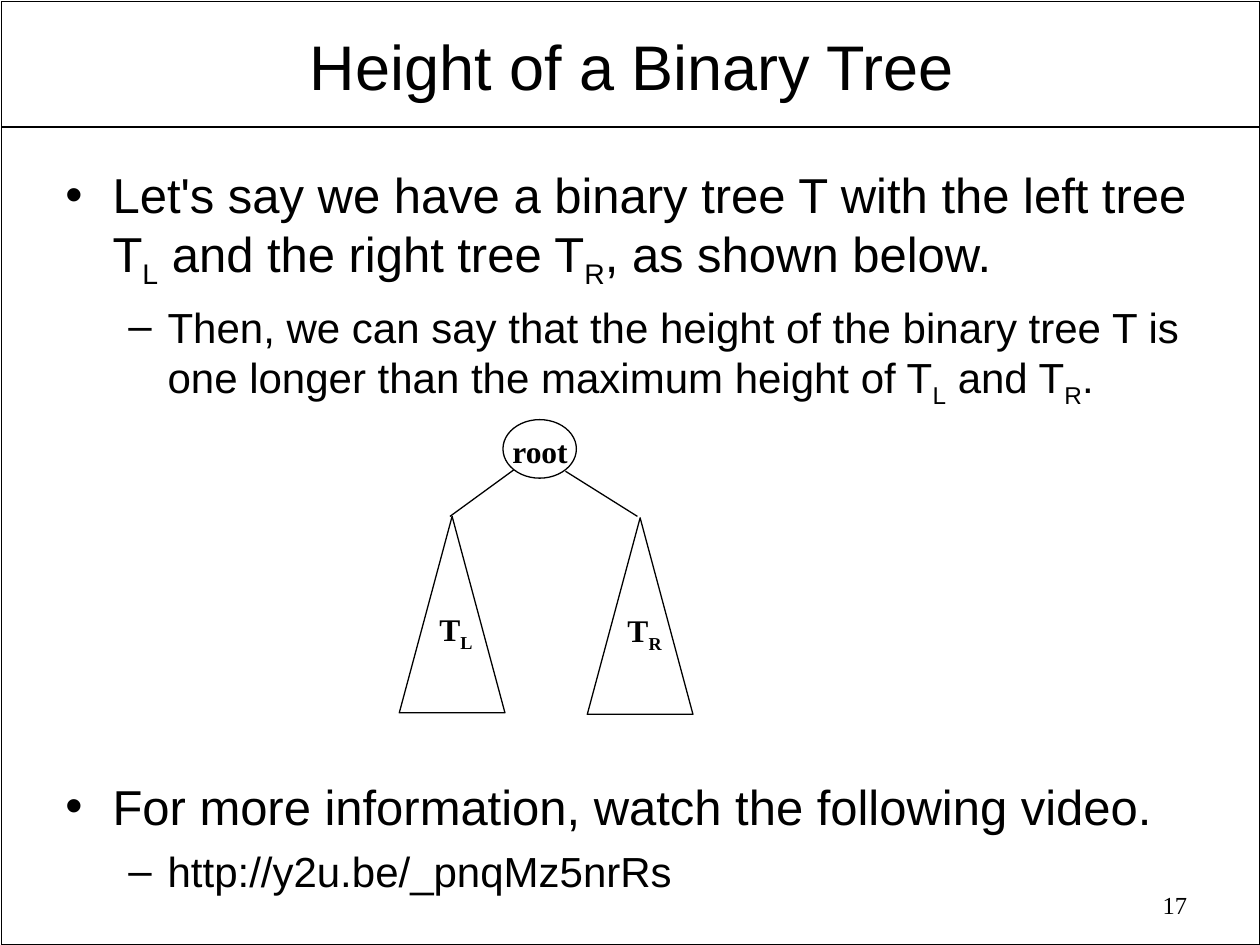
from lxml import etree
from pptx import Presentation
from pptx.dml.color import RGBColor
from pptx.enum.shapes import MSO_CONNECTOR, MSO_SHAPE
from pptx.enum.text import MSO_ANCHOR, PP_ALIGN
from pptx.oxml.ns import qn
from pptx.util import Cm, Pt

RECTANGLE, OVAL = MSO_SHAPE.RECTANGLE, MSO_SHAPE.OVAL
TRIANGLE = MSO_SHAPE.ISOSCELES_TRIANGLE
STRAIGHT = MSO_CONNECTOR.STRAIGHT
LEFT, CENTER, RIGHT = PP_ALIGN.LEFT, PP_ALIGN.CENTER, PP_ALIGN.RIGHT
TOP, BOTTOM = MSO_ANCHOR.TOP, MSO_ANCHOR.BOTTOM

# Bullet sign, text indent, hanging indent (cm), text size, space before (pt)
LEVELS = (("•", 0.95, 0.95, 28, 7), ("–", 2.06, 0.79, 24, 6))


def color(value):
    return RGBColor.from_string(value)


class Page:
    ink = "000000"
    sans, serif = "Arial", "Times New Roman"

    def __init__(self, deck):
        self.shapes = deck.slides.add_slide(deck.slide_layouts[6]).shapes

    def outline(self, item, width):
        item.line.color.rgb = color(self.ink)
        item.line.width = Pt(width)

    def shape(self, kind, left, top, width, height, line=0.75):
        shape = self.shapes.add_shape(kind, Cm(left), Cm(top), Cm(width), Cm(height))
        shape.shadow.inherit = False
        shape.fill.background()
        self.outline(shape, line)

    def line(self, x1, y1, x2, y2, width=0.75):
        line = self.shapes.add_connector(STRAIGHT, Cm(x1), Cm(y1), Cm(x2), Cm(y2))
        etree.SubElement(line._element.spPr, qn("a:effectLst"))
        self.outline(line, width)

    def frame(self, left, top, width, height, wrap=True):
        box = self.shapes.add_textbox(Cm(left), Cm(top), Cm(width), Cm(height))
        box.text_frame.word_wrap = wrap
        return box.text_frame

    def spans(self, para, text, size, font, bold=False):
        """Every second piece between bars is a subscript."""
        for index, piece in enumerate(text.split("|")):
            span = para.add_run()
            span.text = piece
            span.font.size, span.font.name = Pt(size), font
            span.font.bold = bold
            span.font.color.rgb = color(self.ink)
            if index % 2:
                span.font._element.set("baseline", "-25000")

    def text(self, text, left, top, width, height, size, font,
             bold=False, align=LEFT, anchor=TOP, wrap=True):
        frame = self.frame(left, top, width, height, wrap)
        frame.vertical_anchor = anchor
        para = frame.paragraphs[0]
        para.alignment = align
        self.spans(para, text, size, font, bold)
        return frame

    def bullets(self, texts, left, top, width, height):
        """One text for each level, from the outer to the inner one."""
        frame = self.frame(left, top, width, height)
        for level, text in enumerate(texts):
            sign, indent, hanging, size, space = LEVELS[level]
            para = frame.add_paragraph() if level else frame.paragraphs[0]
            para.level = level
            para.space_before = Pt(space if level else 0)
            props = para._p.get_or_add_pPr()
            props.set("marL", str(Cm(indent)))
            props.set("indent", str(-Cm(hanging)))
            etree.SubElement(props, qn("a:buFont"), typeface=self.sans)
            etree.SubElement(props, qn("a:buChar"), char=sign)
            self.spans(para, text, size, self.sans)


def main():
    deck = Presentation()
    deck.slide_width, deck.slide_height = Cm(25.4), Cm(19.05)
    page = Page(deck)

    # Frame and title
    page.shape(RECTANGLE, 0.03, 0.03, 25.37, 19.02, line=1)
    page.line(0.03, 2.56, 25.37, 2.56, width=1)
    title = page.text("Height of a Binary Tree", 1.35, 0.48, 22.78, 1.68,
                      36, page.sans, align=CENTER, anchor=BOTTOM)
    title.margin_left = title.margin_right = Cm(0.18)
    title.margin_top = title.margin_bottom = Cm(0.08)

    # Explanation and further information
    page.bullets((
        "Let's say we have a binary tree T with the left tree T|L| and the "
        "right tree T|R|, as shown below.",
        "Then, we can say that the height of the binary tree T is one longer "
        "than the maximum height of T|L| and T|R|."), 1.07, 3.2, 23.29, 5)
    page.bullets((
        "For more information, watch the following video.",
        "http://y2u.be/_pnqMz5nrRs"), 1.07, 15.52, 23.29, 2.6)

    # Root with its two branches
    page.text("root", 10.08, 8.59, 1.7, 1.02, 18, page.serif, bold=True)
    page.shape(OVAL, 10.14, 8.46, 1.48, 1.18)
    page.line(10.36, 9.47, 9.07, 10.41)
    page.line(11.4, 9.5, 12.85, 10.41)

    # Left and right subtrees, with labels wide enough for one line
    for name, left, top in (("T|L", 8.05, 10.41), ("T|R", 11.84, 10.44)):
        page.shape(TRIANGLE, left, top, 2.13, 3.96)
        page.text(name, left + 0.56, top + 1.76, 1.4, 1.12, 18, page.serif, bold=True)

    # Page number
    page.text("17", 18.24, 17.81, 5.94, 0.91, 14, page.serif, align=RIGHT)

    deck.save("out.pptx")


if __name__ == "__main__":
    main()
